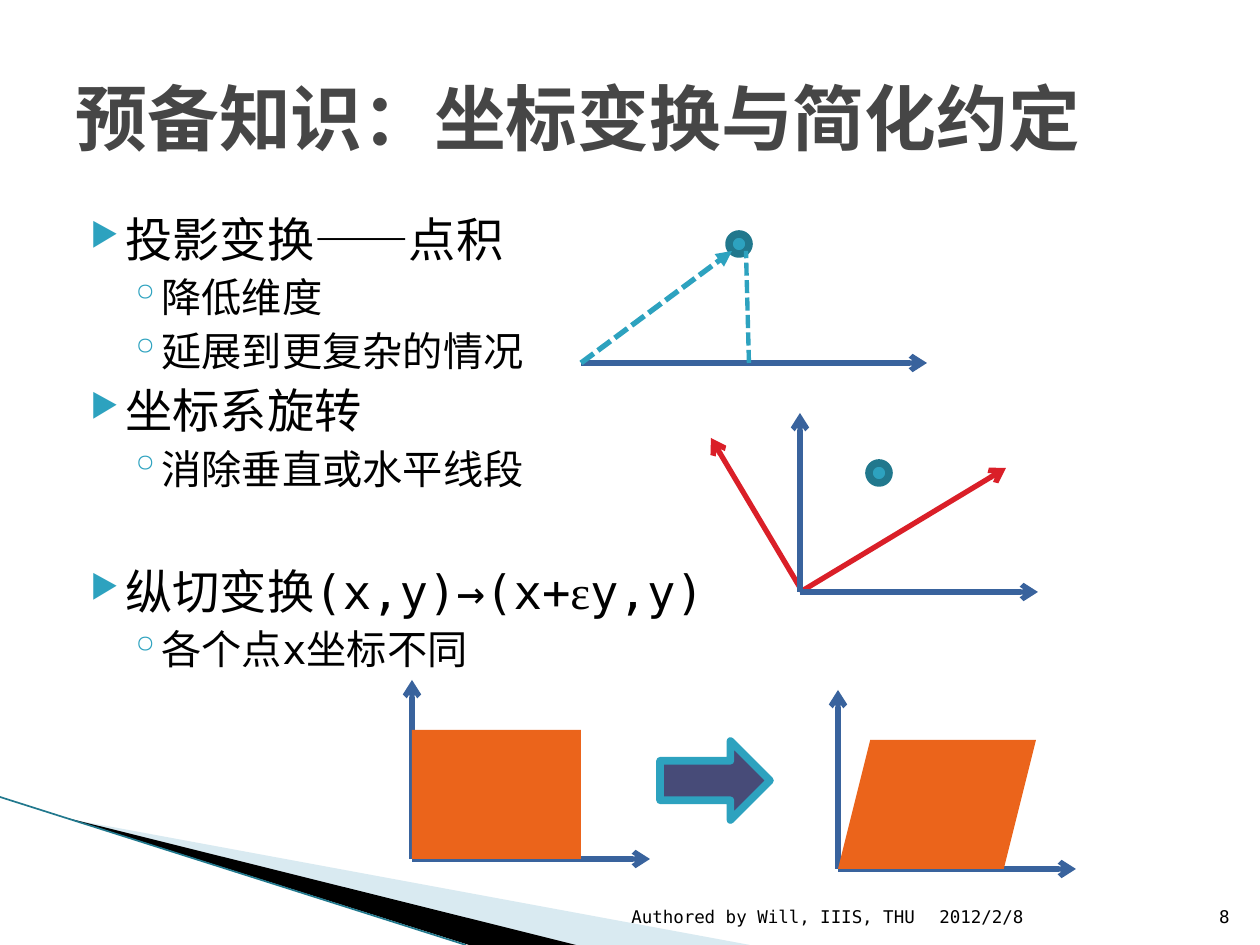
"""Build the slide on coordinate transforms and simplifying conventions."""
import pptx
import pptx.dml.color
import pptx.enum.dml
import pptx.enum.shapes
import pptx.enum.text
import pptx.oxml.ns
import pptx.util
from lxml import etree

RGBColor = pptx.dml.color.RGBColor
SHAPES = pptx.enum.shapes.MSO_SHAPE
ANCHOR = pptx.enum.text.MSO_ANCHOR
ALIGN = pptx.enum.text.PP_ALIGN

BLACK = RGBColor(0x00, 0x00, 0x00)
TITLE_GRAY = RGBColor(0x46, 0x46, 0x46)
TEAL = RGBColor(0x2D, 0xA2, 0xBF)
DARK_TEAL = RGBColor(0x21, 0x78, 0x8D)
PALE_BLUE = RGBColor(0xA0, 0xCB, 0xDC)
AXIS_BLUE = RGBColor(0x39, 0x63, 0x9D)
RED = RGBColor(0xDA, 0x1F, 0x28)
ORANGE = RGBColor(0xEB, 0x64, 0x1B)
INDIGO = RGBColor(0x47, 0x4B, 0x78)

FONT = "DejaVu Sans Mono"
GREEK_FONT = "Times New Roman"
SCALE = 914400 / 126

TITLE = "预备知识：坐标变换与简化约定"
TITLE_BOX = (63, 38, 1134, 157)
BODY_BOX = (63, 204, 1134, 624)
BODY = [
    (0, 0, ["投影变换——点积"]),
    (1, 3.2, ["降低维度"]),
    (1, 3.2, ["延展到更复杂的情况"]),
    (0, 4, ["坐标系旋转"]),
    (1, 3.2, ["消除垂直或水平线段"]),
    (0, 40, ["纵切变换(x,y)→(x+", "ε", "y,y)"]),
    (1, 3.2, ["各个点x坐标不同"]),
]
LEVELS = [
    {"size": 27, "margin": 50, "hanging": 35, "bullet": "▶", "percent": 68},
    {"size": 23, "margin": 86, "hanging": 32, "bullet": "◦", "percent": 100},
]
FOOTERS = [
    ("2012/2/8", (927, 883, 265, 50), ALIGN.LEFT),
    ("Authored by Will, IIIS, THU", (603, 883, 324, 50), ALIGN.RIGHT),
    ("8", (1192, 883, 50, 50), ALIGN.RIGHT),
]
WEDGES = [
    ([(69, 819), (750, 945), (575, 945)], PALE_BLUE, 40),
    ([(67, 818), (576, 945), (469, 945)], BLACK, 100),
]
DOT_SIZE = 20
AXIS_LENGTHS = (238, 179)
SHEAR_PANELS = [
    ((412, 859), SHAPES.RECTANGLE, 169),
    ((838, 869), SHAPES.PARALLELOGRAM, 198),
]
BLOCK_HEIGHT = 129
ARROW_BOX = (660, 741, 110, 79)


def emu(pixels):
    return pptx.util.Emu(round(pixels * SCALE))


def add_element(parent, tag, **attributes):
    return etree.SubElement(parent, pptx.oxml.ns.qn(tag), attributes)


def draw_line(shapes, start, end, color, width=3, head=None, dashed=False):
    line_shape = shapes.add_connector(
        pptx.enum.shapes.MSO_CONNECTOR.STRAIGHT, *map(emu, start + end))
    line = line_shape.line
    line.color.rgb = color
    line.width = pptx.util.Pt(width)
    if dashed:
        line.dash_style = pptx.enum.dml.MSO_LINE.SQUARE_DOT
    properties = line_shape._element.spPr
    if head:
        add_element(properties.find(pptx.oxml.ns.qn("a:ln")), "a:tailEnd", type=head)
    add_element(properties, "a:effectLst")


def paint(shape, color, outline=None):
    shape.shadow.inherit = False
    shape.fill.solid()
    shape.fill.fore_color.rgb = color
    if outline:
        shape.line.color.rgb = outline
        shape.line.width = pptx.util.Pt(4.33)
    else:
        shape.line.fill.background()


def draw_shape(shapes, kind, box, color, outline=None):
    paint(shapes.add_shape(kind, *map(emu, box)), color, outline)


def draw_dot(shapes, center_x, center_y):
    box = (center_x - DOT_SIZE // 2, center_y - DOT_SIZE // 2, DOT_SIZE, DOT_SIZE)
    draw_shape(shapes, SHAPES.OVAL, box, TEAL, DARK_TEAL)


def draw_axes(shapes, origin):
    x, y = origin
    across, up = AXIS_LENGTHS
    draw_line(shapes, origin, (x + across, y), AXIS_BLUE, head="arrow")
    draw_line(shapes, origin, (x, y - up), AXIS_BLUE, head="arrow")


def draw_wedge(shapes, points, color, opacity):
    builder = shapes.build_freeform(*points[0], scale=SCALE)
    builder.add_line_segments(points[1:], close=True)
    wedge = builder.convert_to_shape()
    paint(wedge, color)
    if opacity < 100:
        color_element = wedge._element.spPr.find(".//" + pptx.oxml.ns.qn("a:srgbClr"))
        add_element(color_element, "a:alpha", val=str(opacity * 1000))


def set_font(paragraph, size, color, bold=False):
    paragraph.font.name = FONT
    paragraph.font.size = pptx.util.Pt(size)
    paragraph.font.color.rgb = color
    paragraph.font.bold = bold


def write_title(slide):
    title = slide.shapes.title
    title.left, title.top, title.width, title.height = map(emu, TITLE_BOX)
    frame = title.text_frame
    frame.text = TITLE
    frame.auto_size = pptx.enum.text.MSO_AUTO_SIZE.NONE
    frame.vertical_anchor = ANCHOR.MIDDLE
    frame.paragraphs[0].alignment = ALIGN.LEFT
    set_font(frame.paragraphs[0], 41, TITLE_GRAY, bold=True)


def add_text_frame(shapes, box):
    frame = shapes.add_textbox(*map(emu, box)).text_frame
    frame.word_wrap = True
    return frame


def add_bullet(paragraph, style):
    properties = paragraph._p.get_or_add_pPr()
    properties.set("marL", str(emu(style["margin"])))
    properties.set("indent", str(-emu(style["hanging"])))
    bullet_color = add_element(properties, "a:buClr")
    add_element(bullet_color, "a:srgbClr", val=str(TEAL))
    add_element(properties, "a:buSzPct", val=str(style["percent"] * 1000))
    add_element(properties, "a:buChar", char=style["bullet"])


def write_body(shapes):
    frame = add_text_frame(shapes, BODY_BOX)
    for index, (level, space, texts) in enumerate(BODY):
        paragraph = frame.add_paragraph() if index else frame.paragraphs[0]
        style = LEVELS[level]
        paragraph.level = level
        add_bullet(paragraph, style)
        paragraph.space_before = pptx.util.Pt(space)
        set_font(paragraph, style["size"], BLACK)
        for text in texts:
            run = paragraph.add_run()
            run.text = text
            if text == "ε":
                run.font.name = GREEK_FONT


def write_footers(shapes):
    for text, box, alignment in FOOTERS:
        frame = add_text_frame(shapes, box)
        frame.text = text
        frame.vertical_anchor = ANCHOR.BOTTOM
        frame.paragraphs[0].alignment = alignment
        set_font(frame.paragraphs[0], 10, BLACK)


def draw_diagrams(shapes):
    projection = shapes.add_group_shape().shapes
    draw_dot(projection, 739, 244)
    draw_line(projection, (581, 363), (927, 363), AXIS_BLUE, head="arrow")
    draw_line(projection, (581, 363), (732, 251), TEAL, head="triangle", dashed=True)
    draw_line(projection, (749, 363), (746, 251), TEAL, 2.5, dashed=True)

    rotation = shapes.add_group_shape().shapes
    for tip in [(1006, 468), (711, 438)]:
        draw_line(rotation, (802, 591), tip, RED, head="arrow")
    draw_axes(rotation, (800, 592))
    draw_dot(rotation, 879, 473)

    for origin, kind, width in SHEAR_PANELS:
        panel = shapes.add_group_shape().shapes
        draw_axes(panel, origin)
        box = (origin[0], origin[1] - BLOCK_HEIGHT, width, BLOCK_HEIGHT)
        draw_shape(panel, kind, box, ORANGE)
    draw_shape(shapes, SHAPES.RIGHT_ARROW, ARROW_BOX, INDIGO, TEAL)


def main():
    presentation = pptx.Presentation()
    presentation.slide_width, presentation.slide_height = emu(1260), emu(945)
    slide = presentation.slides.add_slide(presentation.slide_layouts[5])
    for wedge in WEDGES:
        draw_wedge(slide.shapes, *wedge)
    draw_line(slide.shapes, (0, 797), (466, 945), DARK_TEAL, 0.95)
    write_body(slide.shapes)
    write_title(slide)
    draw_diagrams(slide.shapes)
    write_footers(slide.shapes)
    presentation.save("out.pptx")


if __name__ == "__main__":
    main()
